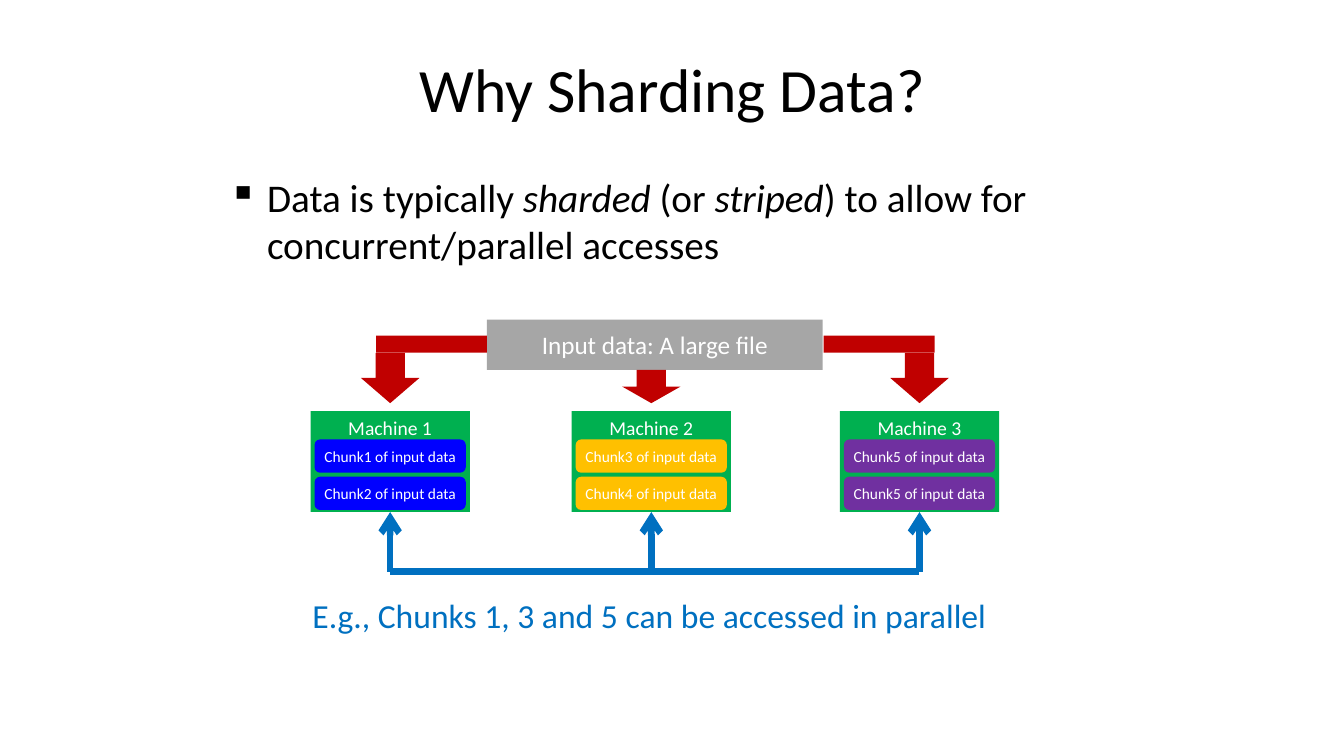
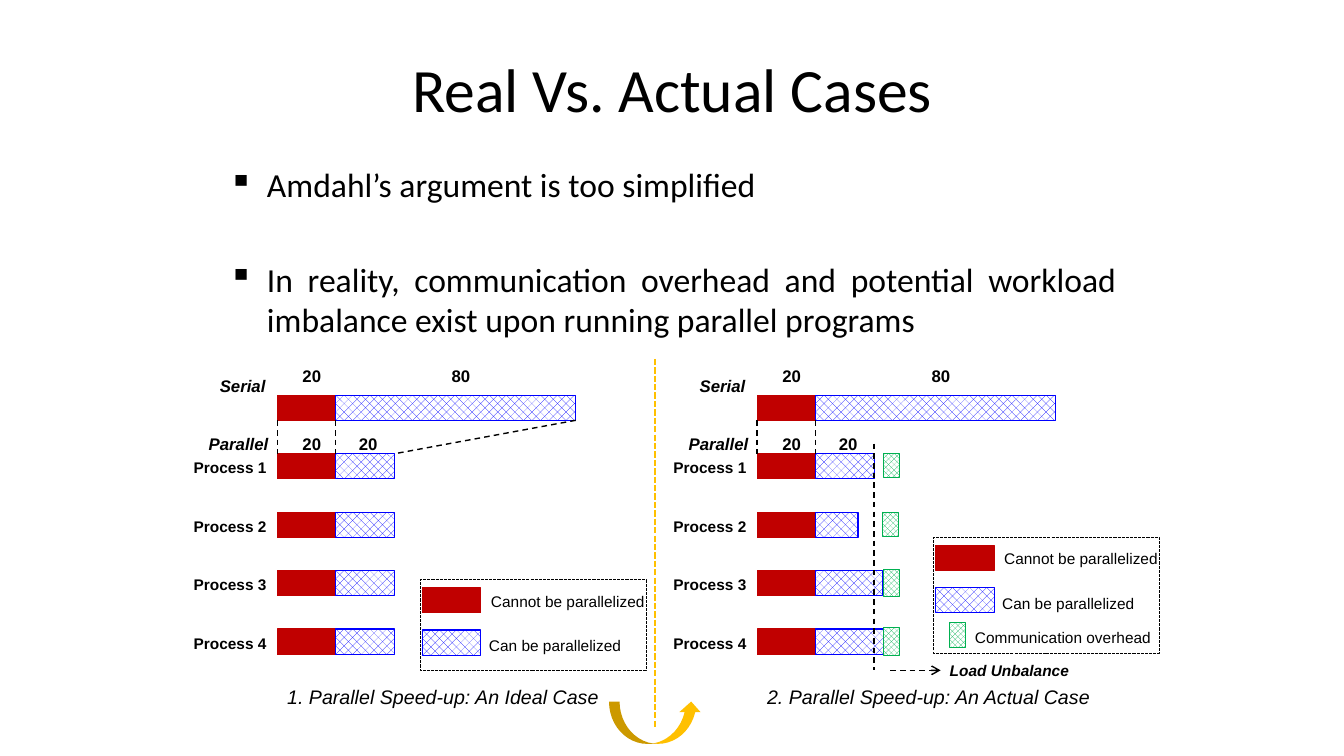
from lxml import etree
from pptx import Presentation
from pptx.dml.color import RGBColor
from pptx.enum.dml import MSO_LINE, MSO_PATTERN
from pptx.enum.shapes import MSO_CONNECTOR, MSO_SHAPE
from pptx.enum.text import MSO_ANCHOR, PP_ALIGN
from pptx.oxml.ns import qn
from pptx.util import Inches, Pt

RECT, ROUNDED = MSO_SHAPE.RECTANGLE, MSO_SHAPE.ROUNDED_RECTANGLE
DOWN_ARROW, CURVED_ARROW = MSO_SHAPE.DOWN_ARROW, MSO_SHAPE.CURVED_UP_ARROW
LEFT, CENTER, JUSTIFY = PP_ALIGN.LEFT, PP_ALIGN.CENTER, PP_ALIGN.JUSTIFY
TOP, MIDDLE = MSO_ANCHOR.TOP, MSO_ANCHOR.MIDDLE
DASH, DOTS = MSO_LINE.DASH, MSO_LINE.SQUARE_DOT
BOTTOM_SIDE = 2

COLORS = {
    "black": "000000", "white": "FFFFFF", "gray": "A6A6A6", "red": "C00000",
    "green": "00B050", "blue": "0000FF", "amber": "FFC000",
    "purple": "7030A0", "access": "0070C0",
}
PATTERNS = {
    "red": MSO_PATTERN.DARK_HORIZONTAL,
    "blue": MSO_PATTERN.WEAVE,
    "green": MSO_PATTERN.LARGE_CHECKER_BOARD,
}
RGB = {name: RGBColor.from_string(value) for name, value in COLORS.items()}


def draw(slide, preset, at, color=None, patterned=False):
    """Add a borderless solid shape, an outlined patterned one, or a dotted frame."""
    shape = slide.shapes.add_shape(preset, *map(Inches, at))
    shape.shadow.inherit = False
    if patterned:
        shape.fill.patterned()
        shape.fill.pattern = PATTERNS[color]
        shape.fill.fore_color.rgb = RGB[color]
        shape.fill.back_color.rgb = RGB["white"]
    elif color:
        shape.fill.solid()
        shape.fill.fore_color.rgb = RGB[color]
    else:
        shape.fill.background()
    if color and not patterned:
        shape.line.fill.background()
    else:
        shape.line.color.rgb = RGB[color or "black"]
        shape.line.width = Pt(0.75)
        if not color:
            shape.line.dash_style = DOTS
    return shape


def write(shape, runs, size, color="black", font="Calibri", align=LEFT,
          anchor=TOP, inset=(0.1, 0.05), bold=False):
    """Add one paragraph of (text, italic) runs and return it."""
    frame = shape.text_frame
    frame.word_wrap = True
    frame.vertical_anchor = anchor
    frame.margin_left = frame.margin_right = Inches(inset[0])
    frame.margin_top = frame.margin_bottom = Inches(inset[1])
    paragraph = frame.add_paragraph() if frame.text else frame.paragraphs[0]
    paragraph.alignment = align
    for text, italic in runs:
        run = paragraph.add_run()
        run.text = text
        run.font.name = font
        run.font.size = Pt(size)
        run.font.bold = bold
        run.font.italic = italic
        run.font.color.rgb = RGB[color]
    return paragraph


prs = Presentation()
prs.slide_width, prs.slide_height = Inches(13.33), Inches(7.5)

# Titles and bullets
outlines = [
    ("Why Sharding Data?", (2.17, 1.67, 9.25, 1.2), 28, LEFT, [
        [("Data is typically ", False), ("sharded", True), (" (or ", False),
         ("striped", True),
         (") to allow for concurrent/parallel accesses", False)],
    ]),
    ("Real Vs. Actual Cases", (2.17, 1.58, 9, 1.95), 24, JUSTIFY, [
        [("Amdahl’s argument is too simplified", False)],
        [("In reality, communication overhead and potential workload "
          "imbalance exist upon running parallel programs", False)],
    ]),
]
slides = []
for title, body_at, size, align, bullets in outlines:
    slide = prs.slides.add_slide(prs.slide_layouts[6])
    slides.append(slide)
    heading = slide.shapes.add_textbox(*map(Inches, (2.17, 0.25, 9, 1.25)))
    write(heading, [(title, False)], 44, align=CENTER, anchor=MIDDLE)
    body = slide.shapes.add_textbox(*map(Inches, body_at))
    for number, runs in enumerate(bullets):
        paragraph = write(body, runs, size, align=align)
        if number:
            paragraph.space_before = Pt(38.5)
        properties = paragraph._p.get_or_add_pPr()
        properties.set("marL", str(Inches(0.38)))
        properties.set("indent", str(Inches(-0.38)))
        etree.SubElement(properties, qn("a:buChar")).set("char", "▪")
sharding, speedup = slides

# Each line: slide, start, end, color, width, dash, arrowhead, machine it joins
lines = []

# Sharding: one file split over three machines
MACHINE_W, BUS_Y = 1.58, 5.67
large_file = draw(sharding, RECT, (4.83, 3.17, 3.33, 0.5), "gray")
write(large_file, [("Input data: A large file", False)], 18, "white",
      align=CENTER, anchor=MIDDLE)
for elbow_left in (3.73, 8.17):
    draw(sharding, RECT, (elbow_left, 3.33, 1.1, 0.17), "red")

machines = [
    ("Machine 1", 3.08, 3.5, "blue", (1, 2)),
    ("Machine 2", 5.67, 3.67, "amber", (3, 4)),
    ("Machine 3", 8.33, 3.5, "purple", (5, 5)),
]
for name, left, arrow_top, chunk_color, chunks in machines:
    center = left + MACHINE_W / 2
    draw(sharding, DOWN_ARROW, (center - 0.29, arrow_top, 0.58, 4 - arrow_top), "red")
    machine = draw(sharding, RECT, (left, 4.08, MACHINE_W, 1), "green")
    write(machine, [(name, False)], 14, "white", align=CENTER)
    for row, chunk in enumerate(chunks):
        block = draw(sharding, ROUNDED,
                     (left + 0.04, 4.36 + 0.37 * row, 1.5, 0.33), chunk_color)
        write(block, [(f"Chunk{chunk} of input data", False)], 11, "white",
              align=CENTER, anchor=MIDDLE, inset=(0, 0.05))
    lines.append((sharding, (center, BUS_Y), (center, 5.08), "access", 4.75,
                  None, True, machine))
lines.append((sharding, (3.87, BUS_Y), (9.12, BUS_Y), "access", 4.75,
              None, False, None))
example = sharding.shapes.add_textbox(*map(Inches, (3, 5.85, 7.2, 0.5)))
write(example, [("E.g., Chunks 1, 3 and 5 can be accessed in parallel", False)],
      24, "access")

# Speed-up: the same bars for the ideal and the actual case
BAR_H, FIXED_W, SERIAL_W = 0.25, 0.58, 2.38
SERIAL_Y, ROW_STEP = 3.92, 0.58
FIRST_Y = SERIAL_Y + ROW_STEP
cases = [
    ("1. Parallel Speed-up: An Ideal Case", 2.75,
     (0.58, 0.58, 0.58, 0.58), (4.17, 5.75, 2.24, 0.9)),
    ("2. Parallel Speed-up: An Actual Case", 7.51,
     (0.58, 0.42, 0.66, 0.67), (9.26, 5.33, 2.24, 1.15)),
]
# Each label: text, left, top, size, bold, italic
labels = [
    ("Load Unbalance", 9.42, 6.56, 11, True, True),
    ("Communication overhead", 9.67, 6.23, 11, False, False),
]
for caption, left, parallel_widths, legend in cases:
    split = left + FIXED_W
    for row, width in enumerate((SERIAL_W, *parallel_widths)):
        top = SERIAL_Y + ROW_STEP * row
        draw(speedup, RECT, (left, top, FIXED_W, BAR_H), "red", True)
        draw(speedup, RECT, (split, top, width, BAR_H), "blue", True)
        if row:
            labels.append((f"Process {row}", left - 0.83, top + 0.05, 11, True, False))
    for x in (left, split):
        lines.append((speedup, (x, SERIAL_Y + BAR_H), (x, FIRST_Y), "black", 1,
                      DASH, False, None))
    labels += [
        ("20", left + 0.25, 3.63, 12, True, False),
        ("80", left + 1.73, 3.63, 12, True, False),
        ("20", left + 0.25, 4.3, 12, True, False),
        ("20", left + 0.81, 4.3, 12, True, False),
        ("Serial", left - 0.57, 3.73, 12, True, True),
        ("Parallel", left - 0.68, 4.3, 12, True, True),
    ]
    caption_box = speedup.shapes.add_textbox(*map(Inches, (left, 6.75, 3.7, 0.34)))
    write(caption_box, [(caption, True)], 14, font="Arial")

    legend_left, legend_top = legend[:2]
    for color, drop in (("red", 0.08), ("blue", 0.5)):
        draw(speedup, RECT,
             (legend_left + 0.02, legend_top + drop, FIXED_W, BAR_H), color, True)
    labels += [
        ("Cannot be parallelized", legend_left + 0.7, legend_top + 0.12, 11, False, False),
        ("Can be parallelized", legend_left + 0.68, legend_top + 0.56, 11, False, False),
    ]
    draw(speedup, RECT, legend)

overheads = [(8.76, 4.5, 0.24), (8.75, 5.08, 0.24), (8.76, 5.65, 0.27),
             (8.76, 6.23, 0.27), (9.42, 6.18, 0.24)]
for left, top, height in overheads:
    draw(speedup, RECT, (left, top, 0.16, height), "green", True)

for text, left, top, size, bold, italic in labels:
    label = speedup.shapes.add_textbox(*map(Inches, (left, top, 2, 0.2)))
    write(label, [(text, italic)], size, font="Arial", inset=(0, 0), bold=bold)

lines += [
    (speedup, (5.71, 4.17), (3.92, 4.5), "black", 1, DASH, False, None),
    (speedup, (8.67, 4.4), (8.67, 6.65), "black", 1, DASH, False, None),
    (speedup, (8.83, 6.65), (9.33, 6.65), "black", 1, DASH, True, None),
    (speedup, (6.5, 3.56), (6.5, 7.22), "amber", 1.5, DOTS, False, None),
]
for slide, start, end, color, width, dash, arrowhead, machine in lines:
    connector = slide.shapes.add_connector(
        MSO_CONNECTOR.STRAIGHT, *map(Inches, (*start, *end)))
    if machine:
        connector.end_connect(machine, BOTTOM_SIDE)
    connector.line.color.rgb = RGB[color]
    connector.line.width = Pt(width)
    if dash:
        connector.line.dash_style = dash
    if arrowhead:
        outline = connector.line._get_or_add_ln()
        etree.SubElement(outline, qn("a:tailEnd")).set("type", "arrow")
    etree.SubElement(connector._element.spPr, qn("a:effectLst"))

draw(speedup, CURVED_ARROW, (6.04, 6.96, 0.92, 0.42), "amber")

prs.save("out.pptx")
